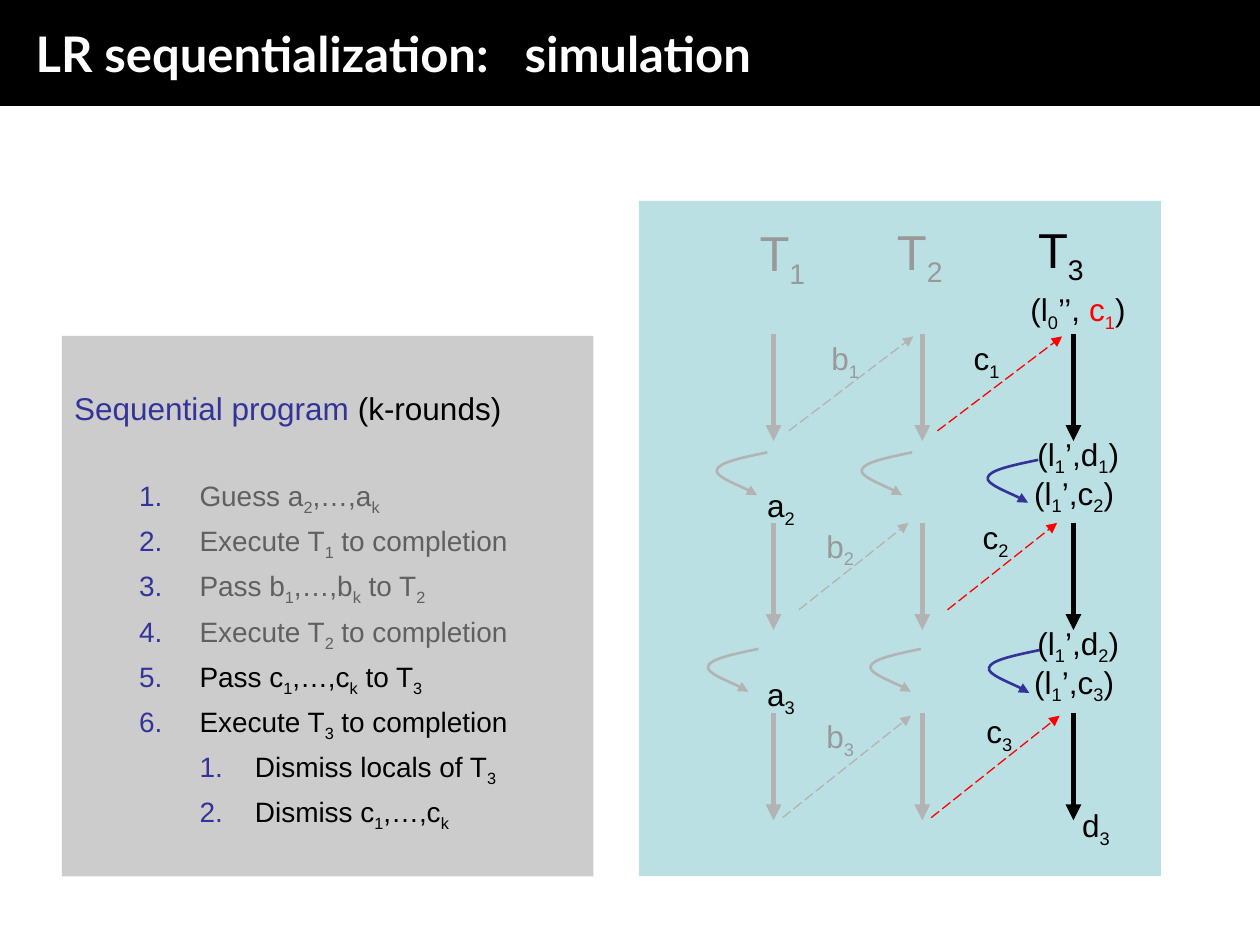
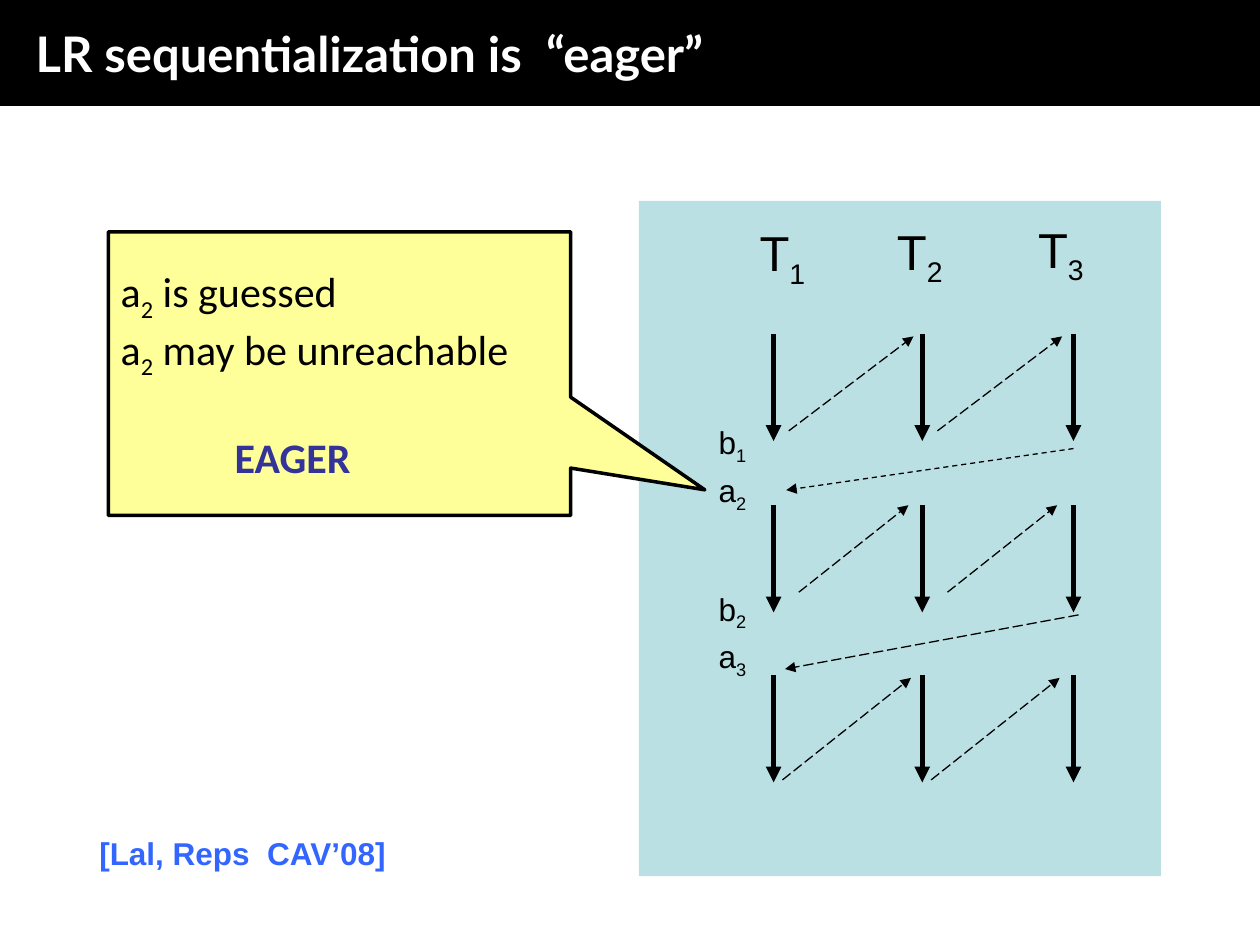
import pptx
import pptx.util
import pptx.dml.color
import pptx.enum.dml
import pptx.enum.shapes
import pptx.enum.text
import pptx.oxml.ns
from lxml import etree

RGB = pptx.dml.color.RGBColor
SHAPE = pptx.enum.shapes.MSO_SHAPE
DASH = pptx.enum.dml.MSO_LINE
ANCHOR = pptx.enum.text.MSO_ANCHOR
qn = pptx.oxml.ns.qn

BLACK = RGB(0x00, 0x00, 0x00)
WHITE = RGB(0xFF, 0xFF, 0xFF)
RED = RGB(0xFF, 0x00, 0x00)
INDIGO = RGB(0x33, 0x33, 0x99)
FADED = RGB(0xB3, 0xB3, 0xB3)
FADED_TEXT = RGB(0x99, 0x99, 0x99)
DONE = RGB(0x60, 0x60, 0x60)
PANEL = RGB(0xBB, 0xE0, 0xE3)
BOX = RGB(0xCC, 0xCC, 0xCC)
NOTE = RGB(0xFF, 0xFF, 0x99)
CITE = RGB(0x33, 0x66, 0xFF)

COLUMNS, ROWS = 100, 75
THREAD_X = (61.4, 73.2, 85.2)
THREAD_HEADS = ((59.3, 17.2), (70.2, 17.1), (81.4, 16.9))
ROUND_LENGTH = 8.5
HANDOFFS = (
    (1.2, 7.7, 11.1, 0.2),
    (2.0, 6.9, 10.7, 0),
    (0.7, 8.3, 10.9, 0.2),
)
LOOP_POINTS = (
    (4.2, 0), (2.3, 0.4), (0.3, 0.8), (0.2, 1.4),
    (0, 1.9), (2.9, 3.0), (3.4, 3.4),
)


def cell(n):
    return pptx.util.Inches(n / 10)


def cells(*numbers):
    return [cell(n) for n in numbers]


def write(p, parts, size, font="Arial", bold=False):
    for text, color in parts:
        plain, *indexed = text.split("_")
        pieces = [(plain, False)]
        for piece in indexed:
            pieces += [(piece[0], True), (piece[1:], False)]
        for piece, is_index in pieces:
            if not piece:
                continue
            r = p.add_run()
            r.text = piece
            r.font.name = font
            r.font.size = pptx.util.Pt(size)
            r.font.bold = bold
            r.font.color.rgb = color
            if is_index:
                r._r.get_or_add_rPr().set("baseline", "-25000")


def indent(p, left, hanging=0):
    pPr = p._p.get_or_add_pPr()
    pPr.set("marL", str(cell(left)))
    pPr.set("indent", str(-cell(hanging)))
    return pPr


def add_number(p, left, hanging):
    pPr = indent(p, left, hanging)
    color = etree.SubElement(pPr, qn("a:buClr"))
    etree.SubElement(color, qn("a:srgbClr")).set("val", str(INDIGO))
    etree.SubElement(pPr, qn("a:buAutoNum")).set("type", "arabicPeriod")


def add_tab(p, position):
    tabs = etree.SubElement(p._p.get_or_add_pPr(), qn("a:tabLst"))
    tab = etree.SubElement(tabs, qn("a:tab"))
    tab.set("pos", str(cell(position)))
    tab.set("algn", "l")


def add_block(s, at, fill, shape=SHAPE.RECTANGLE, anchor=ANCHOR.TOP):
    block = s.shapes.add_shape(shape, *cells(*at))
    block.shadow.inherit = False
    block.fill.solid()
    block.fill.fore_color.rgb = fill
    block.line.fill.background()
    tf = block.text_frame
    tf.word_wrap = True
    tf.vertical_anchor = anchor
    tf.paragraphs[0].alignment = pptx.enum.text.PP_ALIGN.LEFT
    return block


def add_paragraph(tf):
    p = tf.add_paragraph()
    p.alignment = pptx.enum.text.PP_ALIGN.LEFT
    return p


def add_label(s, at, parts, size=18, width=6, bold=False):
    tf = s.shapes.add_textbox(*cells(*at, width, 4.4)).text_frame
    tf.word_wrap = True
    write(tf.paragraphs[0], parts, size, bold=bold)


def style_arrow(arrow, color, width, dash=None):
    arrow.line.color.rgb = color
    arrow.line.width = pptx.util.Pt(width)
    if dash:
        arrow.line.dash_style = dash
    tail = etree.SubElement(arrow.line._get_or_add_ln(), qn("a:tailEnd"))
    tail.set("type", "triangle")


def add_arrow(s, ends, color, width=0.75, dash=None):
    straight = pptx.enum.shapes.MSO_CONNECTOR.STRAIGHT
    arrow = s.shapes.add_connector(straight, *cells(*ends))
    style_arrow(arrow, color, width, dash)
    etree.SubElement(arrow._element.spPr, qn("a:effectLst"))


def bend(freeform):
    segments = list(freeform._element.iter(qn("a:lnTo")))
    outline = segments[0].getparent()
    for i in range(0, len(segments), 3):
        curve = etree.SubElement(outline, qn("a:cubicBezTo"))
        for segment in segments[i:i + 3]:
            curve.append(segment[0])
            outline.remove(segment)


def add_loop(s, left, top, color):
    points = [cells(left + x, top + y) for x, y in LOOP_POINTS]
    builder = s.shapes.build_freeform(*points[0])
    builder.add_line_segments(points[1:], close=False)
    loop = builder.convert_to_shape()
    bend(loop)
    loop.shadow.inherit = False
    loop.fill.background()
    style_arrow(loop, color, 1.5)


def add_base(prs, title, tab):
    s = prs.slides.add_slide(prs.slide_layouts[6])
    band = add_block(s, (0, 0, COLUMNS, 8.4), BLACK, anchor=ANCHOR.MIDDLE)
    band.text_frame.margin_left = cell(2.84)
    p = band.text_frame.paragraphs[0]
    add_tab(p, tab)
    write(p, [(title, WHITE)], 28, "Lato", True)
    add_block(s, (50.7, 15.95, 41.45, 53.6), PANEL)
    return s


def add_threads(s, round_tops, thread_colors, head_colors, handoff_colors):
    for i, (x, color) in enumerate(zip(THREAD_X, thread_colors)):
        add_label(s, THREAD_HEADS[i], [(f"T_{i + 1}", head_colors[i])], 28)
        for top in round_tops:
            add_arrow(s, (x, top, x, top + ROUND_LENGTH), color, 3)
    for x, color in zip(THREAD_X, handoff_colors):
        for top, (x1, y1, x2, y2) in zip(round_tops, HANDOFFS):
            ends = (x + x1, top + y1, x + x2, top + y2)
            add_arrow(s, ends, color, dash=DASH.LONG_DASH)


def add_program(s):
    tf = add_block(s, (4.9, 26.65, 42.2, 42.9), BOX).text_frame
    tf.margin_top = cell(4.2)
    heading = [("Sequential program", INDIGO), (" (k-rounds)", BLACK)]
    write(tf.paragraphs[0], heading, 18)
    steps = (
        (1, "Guess a_2,…,a_k", DONE),
        (1, "Execute T_1 to completion", DONE),
        (1, "Pass b_1,…,b_k to T_2", DONE),
        (1, "Execute T_2 to completion", DONE),
        (1, "Pass c_1,…,c_k to T_3", BLACK),
        (1, "Execute T_3 to completion", BLACK),
        (2, "Dismiss locals of T_3", BLACK),
        (2, "Dismiss c_1,…,c_k", BLACK),
    )
    indents = {1: (9.95, 4.8), 2: (14.35, 4.4)}
    for i, (level, text, color) in enumerate(steps):
        p = add_paragraph(tf)
        p.level = level
        p.space_before = pptx.util.Pt(4 if i else 29.7)
        add_number(p, *indents[level])
        write(p, [(text, color)], 16)


def build_simulation(prs):
    s = add_base(prs, "LR sequentialization:\tsimulation", 38.8)
    add_program(s)
    add_threads(s, (26.5, 41.5, 56.6), (FADED, FADED, BLACK),
                (FADED_TEXT, FADED_TEXT, BLACK), (FADED, RED))
    loops = (
        (56.7, 35.9, FADED), (56, 51.5, FADED),
        (68.2, 35.9, FADED), (68.9, 51.5, FADED),
        (78.2, 36.5, INDIGO), (78.3, 51.6, INDIGO),
    )
    for loop in loops:
        add_loop(s, *loop)
    labels = (
        (59.9, 38.1, "a_2", BLACK), (59.9, 53.1, "a_3", BLACK),
        (65, 26.4, "b_1", FADED_TEXT), (64.6, 41.3, "b_2", FADED_TEXT),
        (64.6, 56.4, "b_3", FADED_TEXT),
        (76.3, 26.4, "c_1", BLACK), (77, 40.6, "c_2", BLACK), (77.3, 56, "c_3", BLACK),
        (84.9, 63.5, "d_3", BLACK),
    )
    for x, y, text, color in labels:
        add_label(s, (x, y), [(text, color)])
    start = [("(l_0’’, ", BLACK), ("c_1", RED), (")", BLACK)]
    add_label(s, (80.8, 22.5), start, width=9.6)
    for i, top in enumerate((34, 49), 1):
        add_label(s, (81.35, top), [(f"(l_1’,d_{i})", BLACK)], width=9)
        add_label(s, (81.1, top + 3.1), [(f"(l_1’,c_{i + 1})", BLACK)], width=9)


def add_callout(s):
    callout = add_block(s, (8.6, 18.4, 36.7, 22.5), NOTE,
                        SHAPE.RECTANGULAR_CALLOUT, ANCHOR.MIDDLE)
    callout.adjustments[0] = 0.79
    callout.adjustments[1] = 0.41
    callout.line.color.rgb = BLACK
    callout.line.width = pptx.util.Pt(2)
    tf = callout.text_frame
    write(tf.paragraphs[0], [("a_2 is guessed", BLACK)], 24, "Calibri")
    write(add_paragraph(tf), [("a_2 may be unreachable", BLACK)], 24, "Calibri")
    p = add_paragraph(tf)
    p.space_before = pptx.util.Pt(29)
    indent(p, 9.05)
    write(p, [("EAGER", INDIGO)], 24, "Calibri", True)


def build_eager(prs):
    s = add_base(prs, "LR sequentialization is\t“eager”", 40.5)
    add_threads(s, (26.5, 40.1, 53.6), (BLACK,) * 3, (BLACK,) * 3, (BLACK,) * 2)
    for i, top in enumerate((33.1, 46.3), 1):
        add_label(s, (56.05, top), [(f"b_{i}", BLACK)])
        add_label(s, (56.05, top + 3.8), [(f"a_{i + 1}", BLACK)])
    add_callout(s)
    add_arrow(s, (85.2, 35.6, 62.4, 38.9), BLACK, dash=DASH.DASH)
    add_arrow(s, (85.6, 48.8, 62.3, 53.1), BLACK, dash=DASH.LONG_DASH)
    add_label(s, (6.9, 65.7), [("[Lal, Reps  CAV’08]", CITE)], width=36.4, bold=True)


def main():
    prs = pptx.Presentation()
    prs.slide_width, prs.slide_height = cells(COLUMNS, ROWS)
    build_simulation(prs)
    build_eager(prs)
    prs.save("out.pptx")


if __name__ == "__main__":
    main()
